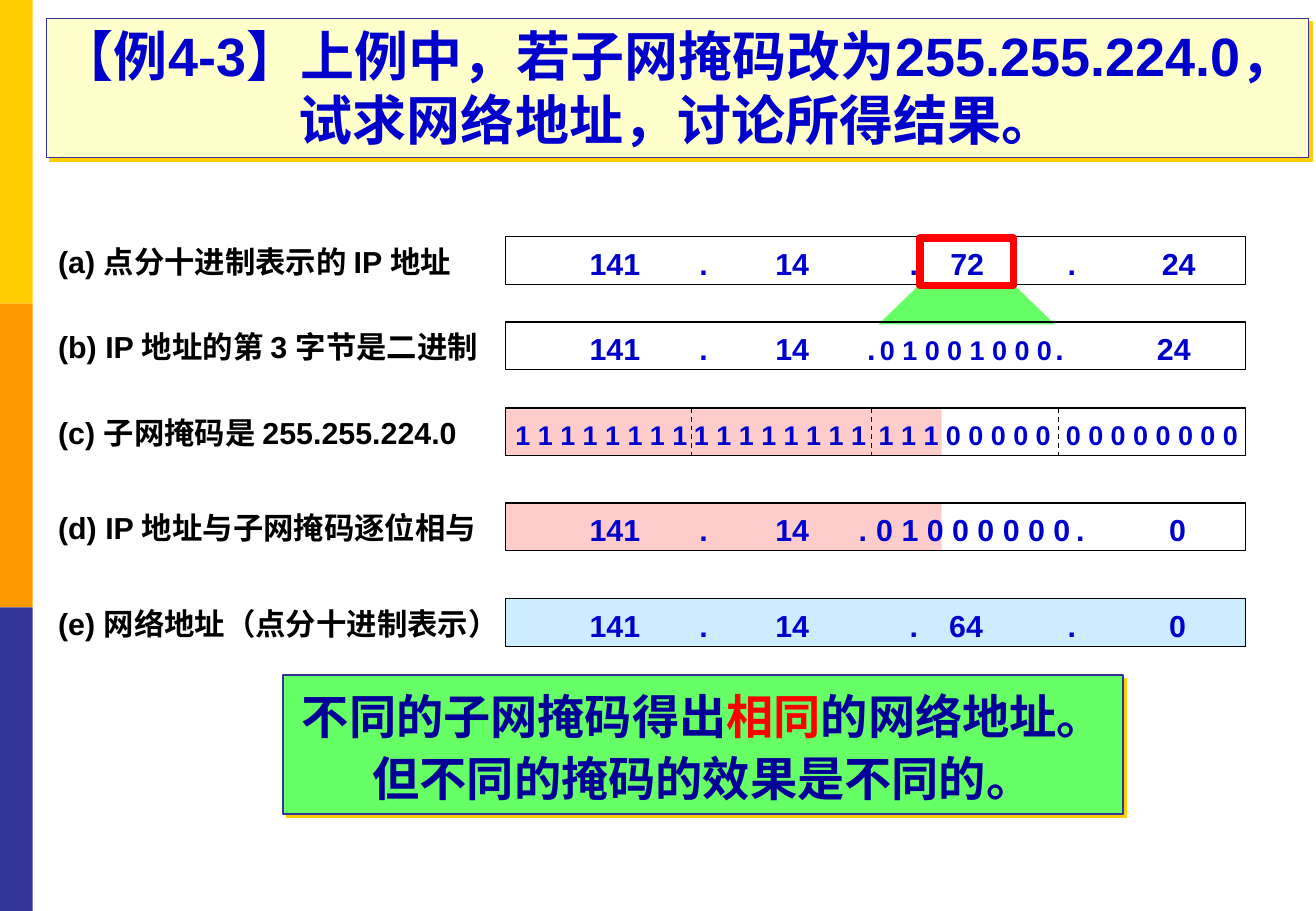
from lxml.etree import SubElement
from pptx import Presentation
from pptx.dml.color import RGBColor
from pptx.enum.dml import MSO_LINE
from pptx.enum.shapes import MSO_CONNECTOR, MSO_SHAPE
from pptx.enum.text import MSO_ANCHOR, PP_ALIGN
from pptx.oxml.ns import qn
from pptx.util import Inches, Pt

WIDTH, HEIGHT = 10.83, 7.5
FONT = "Arial"
BLUE, NAVY, PINK, GREEN, GOLD = "0000CC", "333399", "FFCCCC", "66FF66", "FFCC00"

TITLE = "【例4-3】上例中，若子网掩码改为255.255.224.0，试求网络地址，讨论所得结果。"
STRIPES = [GOLD, "FF9900", NAVY]
CONCLUSION = [
    [("不同的子网掩码得出", "000099"), ("相同", "FF0000"), ("的网络地址。", "000099")],
    [("但不同的掩码的效果是不同的。", "000099")],
]

ROW_LEFT, ROW_WIDTH, ROW_HEIGHT = 4.16, 6.09, 0.39
LABEL_LEFT = 0.38
MASKED_WIDTH = 3.59
PREFIX = [("141", 5.06), (".", 5.79), ("14", 6.52)]
ONES, ZEROS = "1 1 1 1 1 1 1 1", "0 0 0 0 0 0 0 0"

# label, label width, top, fill, size of the bits, (text, centre) of each field
ROWS = [
    ("(a) 点分十进制表示的 IP 地址", 3.49, 1.95, None, 18,
     PREFIX + [(".", 7.52), ("72", 7.96), (".", 8.82), ("24", 9.70)]),
    ("(b) IP 地址的第 3 字节是二进制", 3.72, 2.65, None, 16,
     PREFIX + [(".", 7.17), ("0 1 0 0 1 0 0 0", 7.95), (".", 8.72), ("24", 9.66)]),
    ("(c) 子网掩码是 255.255.224.0", 3.53, 3.36, None, 16,
     [(ONES, 4.95), (ONES, 6.42), ("1 1 1 0 0 0 0 0", 7.94), (ZEROS, 9.48)]),
    ("(d) IP 地址与子网掩码逐位相与", 3.69, 4.14, None, 18,
     PREFIX + [(".", 7.10), ("0 1 0 0 0 0 0 0", 8.01), (".", 8.89), ("0", 9.69)]),
    ("(e) 网络地址（点分十进制表示）", 3.88, 4.93, "CCECFF", 18,
     PREFIX + [(".", 7.52), ("64", 7.95), (".", 8.82), ("0", 9.69)]),
]
ROW_TOPS = [row[2] for row in ROWS]
MASK_TOP, RESULT_TOP = ROW_TOPS[2:4]
BYTE_BORDERS = [5.69, 7.17, 8.71]
FRAME_LEFT, FRAME_RIGHT = 7.57, 8.34
FUNNEL_LEFT, FUNNEL_RIGHT = 7.23, 8.68


def color(value):
    return RGBColor.from_string(value)


def paint(shape, fill=None, line=None, points=0.75):
    shape.shadow.inherit = False
    if fill:
        shape.fill.solid()
        shape.fill.fore_color.rgb = color(fill)
    else:
        shape.fill.background()
    if line:
        shape.line.color.rgb = color(line)
        shape.line.width = Pt(points)
    else:
        shape.line.fill.background()


def add_box(slide, left, top, width, height, **style):
    shape = slide.shapes.add_shape(
        MSO_SHAPE.RECTANGLE, Inches(left), Inches(top), Inches(width), Inches(height))
    paint(shape, **style)
    return shape


def add_gold_shadow(shape):
    effects = shape._element.spPr.find(qn("a:effectLst"))
    shadow = SubElement(effects, qn("a:outerShdw"), dist=str(Pt(2.8)),
                        dir="2700000", algn="ctr", rotWithShape="0")
    SubElement(shadow, qn("a:srgbClr"), val=GOLD)


def set_font(paragraph, size, value, align=PP_ALIGN.LEFT):
    paragraph.alignment = align
    font = paragraph.font
    font.name, font.size, font.bold = FONT, Pt(size), True
    font.color.rgb = color(value)


def add_label(slide, text, top, width):
    box = slide.shapes.add_textbox(
        Inches(LABEL_LEFT), Inches(top), Inches(width), Inches(0.4))
    box.text_frame.word_wrap = True
    paragraph = box.text_frame.paragraphs[0]
    paragraph.text = text
    set_font(paragraph, 18, "000000")


def add_fields(shape, fields, bits_size):
    """Write the fields in one paragraph, each on a centred tab stop."""
    frame = shape.text_frame
    frame.word_wrap = True
    frame.vertical_anchor = MSO_ANCHOR.MIDDLE
    frame.margin_left = frame.margin_right = frame.margin_bottom = 0
    frame.margin_top = Inches(0.05)
    paragraph = frame.paragraphs[0]
    set_font(paragraph, 18, BLUE)
    properties = paragraph._p.get_or_add_pPr()
    tabs = SubElement(properties, qn("a:tabLst"))
    properties.insert(0, tabs)
    for text, center in fields:
        SubElement(tabs, qn("a:tab"), pos=str(Inches(center - ROW_LEFT)), algn="ctr")
        run = paragraph.add_run()
        run.text = "\t" + text
        if " " in text:
            run.font.size = Pt(bits_size)


def add_title(slide):
    title = slide.shapes.title
    title.left, title.top = Inches(0.38), Inches(0.15)
    title.width, title.height = Inches(10.39), Inches(1.15)
    paint(title, "FFFFCC", NAVY)
    add_gold_shadow(title)
    title.text_frame.vertical_anchor = MSO_ANCHOR.BOTTOM
    paragraph = title.text_frame.paragraphs[0]
    paragraph.text = TITLE
    set_font(paragraph, 32, BLUE, PP_ALIGN.CENTER)


def add_funnel(slide):
    top, bottom = ROW_TOPS[0] + ROW_HEIGHT, ROW_TOPS[1] + 0.02
    builder = slide.shapes.build_freeform(
        Inches(FRAME_LEFT), Inches(top), scale=1.0)
    corners = [(FRAME_RIGHT, top), (FUNNEL_RIGHT, bottom), (FUNNEL_LEFT, bottom)]
    builder.add_line_segments([(Inches(x), Inches(y)) for x, y in corners], close=True)
    paint(builder.convert_to_shape(), GREEN)


def add_byte_borders(slide):
    for x in BYTE_BORDERS:
        border = slide.shapes.add_connector(
            MSO_CONNECTOR.STRAIGHT, Inches(x), Inches(MASK_TOP),
            Inches(x), Inches(MASK_TOP + ROW_HEIGHT))
        border.line.color.rgb = color("000000")
        border.line.width = Pt(0.75)
        border.line.dash_style = MSO_LINE.DASH
        SubElement(border._element.spPr, qn("a:effectLst"))


def add_conclusion(slide):
    box = add_box(slide, 2.33, 5.56, 6.91, 1.14, fill=GREEN, line=NAVY, points=1)
    add_gold_shadow(box)
    frame = box.text_frame
    frame.word_wrap = False
    frame.vertical_anchor = MSO_ANCHOR.TOP
    for index, parts in enumerate(CONCLUSION):
        paragraph = frame.add_paragraph() if index else frame.paragraphs[0]
        paragraph.line_spacing = 1.1
        set_font(paragraph, 28, parts[0][1], PP_ALIGN.CENTER)
        for text, value in parts:
            run = paragraph.add_run()
            run.text = text
            run.font.color.rgb = color(value)


def main():
    presentation = Presentation()
    presentation.slide_width, presentation.slide_height = Inches(WIDTH), Inches(HEIGHT)
    slide = presentation.slides.add_slide(presentation.slide_layouts[5])

    stripe_height = HEIGHT / len(STRIPES)
    for index, fill in enumerate(STRIPES):
        add_box(slide, 0, index * stripe_height, 0.27, stripe_height, fill=fill)
    add_title(slide)
    for top in (MASK_TOP, RESULT_TOP):
        add_box(slide, ROW_LEFT, top + 0.01, MASKED_WIDTH, ROW_HEIGHT - 0.01, fill=PINK)
    add_funnel(slide)
    add_byte_borders(slide)
    for label, label_width, top, fill, bits_size, fields in ROWS:
        add_label(slide, label, top, label_width)
        row = add_box(slide, ROW_LEFT, top, ROW_WIDTH, ROW_HEIGHT, fill=fill, line="000000")
        add_fields(row, fields, bits_size)
    add_box(slide, FRAME_LEFT, ROW_TOPS[0] + 0.01, FRAME_RIGHT - FRAME_LEFT, ROW_HEIGHT,
            line="FF0000", points=4.5)
    add_conclusion(slide)
    presentation.save("out.pptx")


if __name__ == "__main__":
    main()
